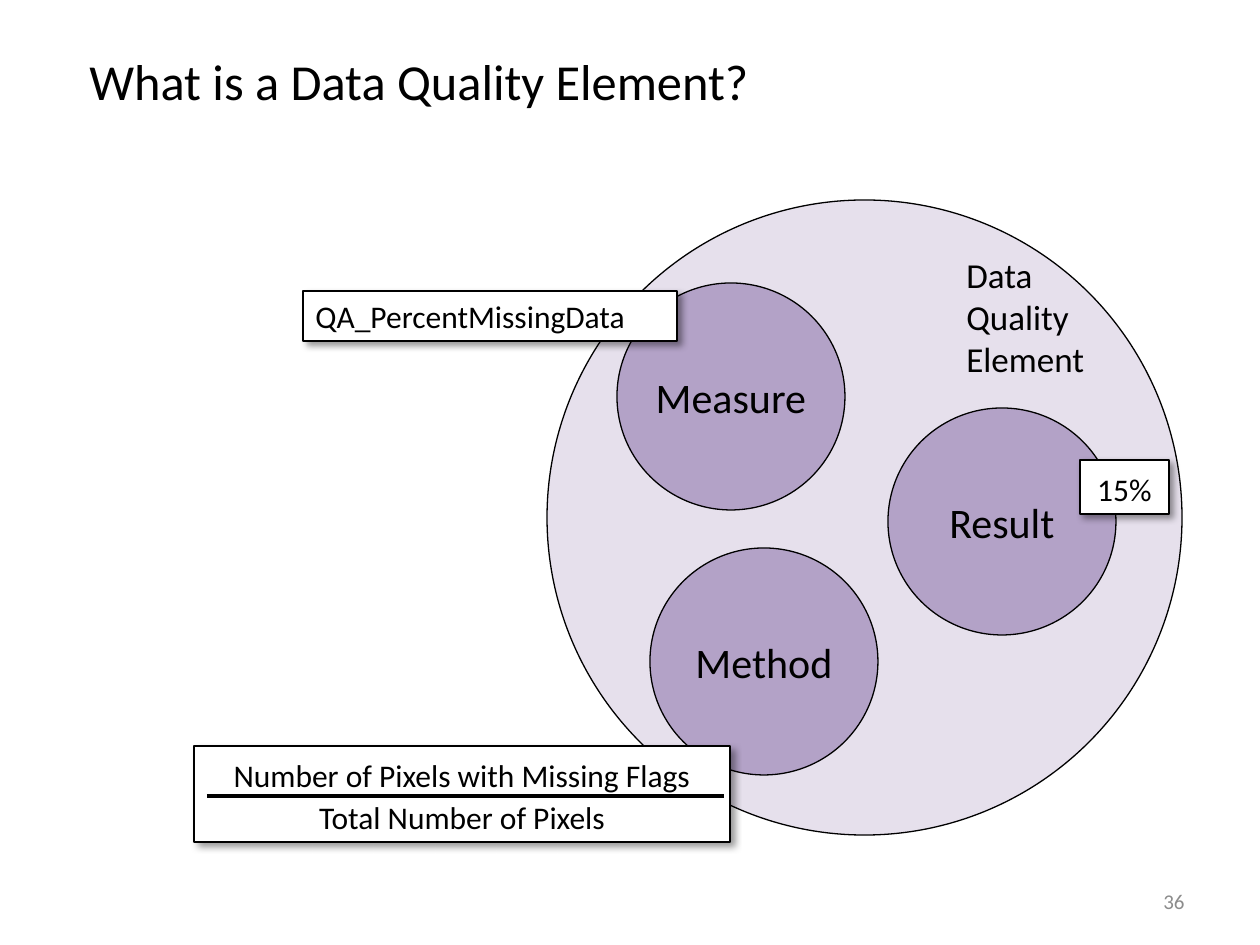
from lxml.etree import SubElement
from pptx import Presentation
from pptx.dml.color import RGBColor
from pptx.enum.shapes import MSO_CONNECTOR, MSO_SHAPE
from pptx.enum.text import MSO_ANCHOR, PP_ALIGN
from pptx.oxml.ns import qn
from pptx.util import Emu, Pt

BLACK = RGBColor(0x00, 0x00, 0x00)
WHITE = RGBColor(0xFF, 0xFF, 0xFF)
GRAY = RGBColor(0x8C, 0x8C, 0x8C)
LAVENDER = RGBColor(0xE6, 0xE0, 0xEC)
PURPLE = RGBColor(0xB3, 0xA2, 0xC7)
PX_PER_INCH = 126


def px(length):
    return Emu(round(length * 914400 / PX_PER_INCH))


class SlideBuilder:
    font_name = "Calibri"

    def __init__(self, slide):
        self.slide = slide

    def fill_text(self, shape, lines, size, color=BLACK, frame=None, paragraph=None):
        text_frame = shape.text_frame
        frame_format = {"word_wrap": True, "vertical_anchor": MSO_ANCHOR.TOP} | (frame or {})
        for name, value in frame_format.items():
            setattr(text_frame, name, value)
        paragraph_format = {"alignment": PP_ALIGN.LEFT} | (paragraph or {})
        for index, line in enumerate(lines):
            item = text_frame.add_paragraph() if index else text_frame.paragraphs[0]
            for name, value in paragraph_format.items():
                setattr(item, name, value)
            run = item.add_run()
            run.text = line
            for name, value in {"name": self.font_name, "size": Pt(size)}.items():
                setattr(run.font, name, value)
            run.font.color.rgb = color

    def text(self, box, line, size, **style):
        shape = self.slide.shapes.add_textbox(*map(px, box))
        self.fill_text(shape, [line], size, **style)

    def outlined(self, kind, box, fill):
        shape = self.slide.shapes.add_shape(kind, *map(px, box))
        shape.shadow.inherit = False
        shape.fill.solid()
        shape.fill.fore_color.rgb = fill
        shape.line.color.rgb = BLACK
        shape.line.width = Pt(0.75)
        return shape

    def circle(self, box, fill, label=None):
        shape = self.outlined(MSO_SHAPE.OVAL, box, fill)
        if label:
            self.fill_text(shape, [label], 24,
                           frame={"word_wrap": False, "vertical_anchor": MSO_ANCHOR.MIDDLE},
                           paragraph={"alignment": PP_ALIGN.CENTER})

    def callout(self, box, lines, **paragraph):
        shape = self.outlined(MSO_SHAPE.RECTANGLE, box, WHITE)
        effects = shape._element.spPr.find(qn("a:effectLst"))
        shadow = SubElement(effects, qn("a:outerShdw"), blurRad=str(Pt(4)),
                            dist=str(Pt(3)), dir="2700000", algn="tl", rotWithShape="0")
        tint = SubElement(shadow, qn("a:srgbClr"), val=str(BLACK))
        SubElement(tint, qn("a:alpha"), val="40000")
        self.fill_text(shape, lines, 18, paragraph=paragraph)

    def line(self, start, end, width):
        connector = self.slide.shapes.add_connector(
            MSO_CONNECTOR.STRAIGHT, *map(px, start + end))
        connector.line.color.rgb = BLACK
        connector.line.width = Pt(width)
        SubElement(connector._element.spPr, qn("a:effectLst"))


def main():
    presentation = Presentation()
    presentation.slide_width = px(1260)
    presentation.slide_height = px(945)
    builder = SlideBuilder(presentation.slides.add_slide(presentation.slide_layouts[6]))

    middle = {"vertical_anchor": MSO_ANCHOR.MIDDLE}
    builder.text((77, 50, 795, 61), "What is a Data Quality Element?", 28.8, frame=middle)
    builder.text((904, 876, 293, 50), "36", 12, color=GRAY, frame=middle,
                 paragraph={"alignment": PP_ALIGN.RIGHT})

    builder.circle((547, 200, 635, 635), LAVENDER)
    builder.text((954, 247, 175, 140), "Data Quality Element", 20)
    for label, left, top in (("Measure", 617, 283), ("Result", 888, 408), ("Method", 650, 548)):
        builder.circle((left, top, 228, 227), PURPLE, label)

    centered = {"alignment": PP_ALIGN.CENTER, "line_spacing": 1.1}
    builder.callout((303, 291, 374, 50), ["QA_PercentMissingData"])
    fraction = ["Number of Pixels with Missing Flags", "Total Number of Pixels"]
    builder.callout((194, 746, 536, 96), fraction, **centered)
    builder.line((207, 796), (724, 796), 2.25)
    builder.callout((1080, 460, 89, 54), ["15%"], **centered)

    presentation.save("out.pptx")


if __name__ == "__main__":
    main()
